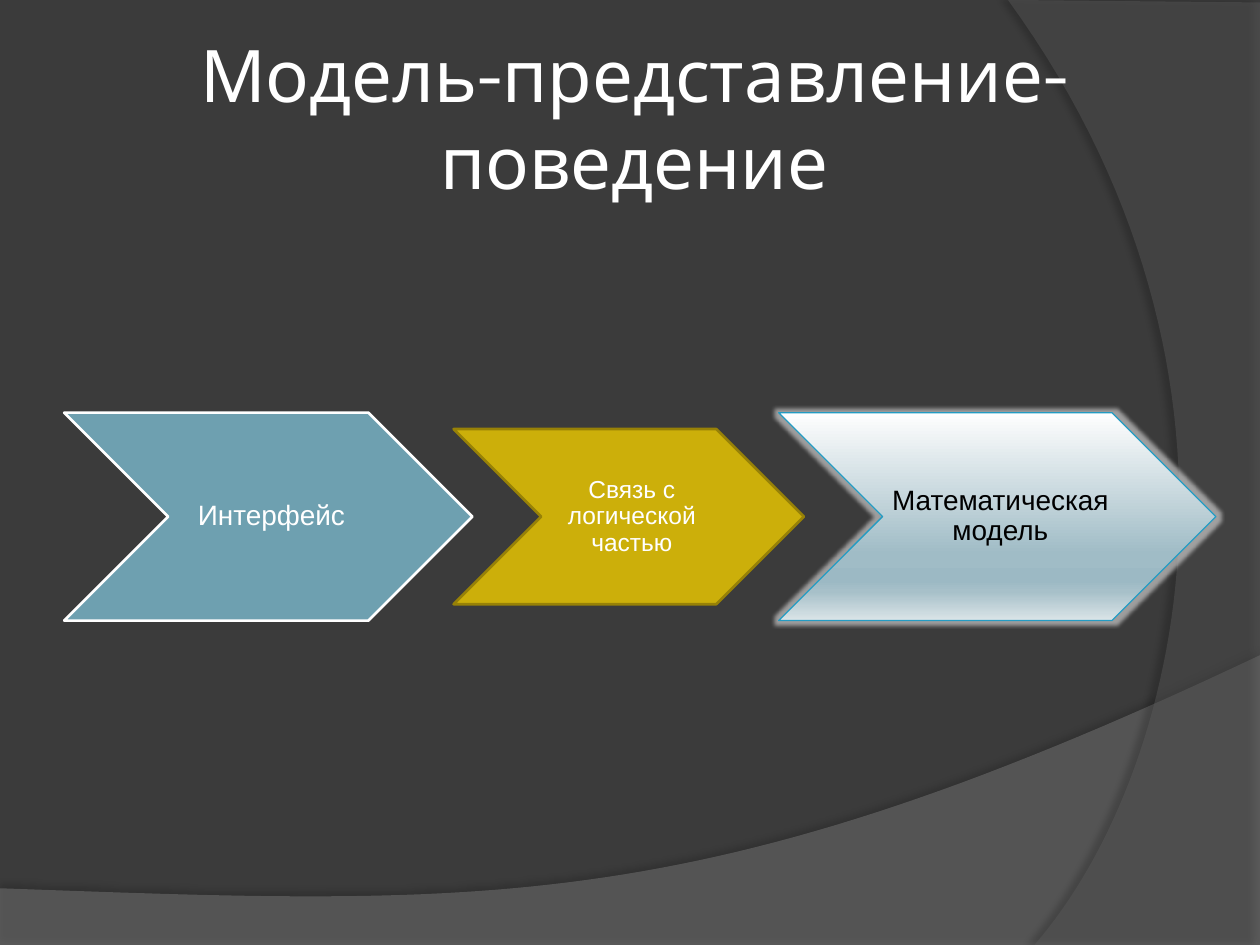
from dataclasses import dataclass

from lxml.etree import SubElement
from pptx import Presentation
from pptx.dml.color import RGBColor
from pptx.enum.shapes import MSO_SHAPE
from pptx.enum.text import MSO_ANCHOR, PP_ALIGN
from pptx.oxml.ns import qn
from pptx.util import Inches, Pt

Point = tuple[float, float]
Stop = tuple[int, str]
COLUMNS, ROWS = 100, 75
CELL = Inches(0.1)
CURVE_STEPS = 60
MIDDLE_ROW = 41


@dataclass(frozen=True)
class Theme:
    background: str = "3B3B3B"
    light: str = "FFFFFF"
    dark: str = "000000"
    hill: str = "7F7F7F"
    side: str = "5E5E5E"
    blue: str = "6EA0B0"
    gold: str = "CCAF0A"
    gold_edge: str = "978107"
    cyan_edge: str = "239BC2"
    glow: str = "E0E0E0"
    sheen: tuple[Stop, ...] = (
        (0, "FEFEFE"), (68, "A0BCC6"), (81, "9CB9C4"), (86, "A7C0C9"), (100, "DAE4E7"))
    title_font: str = "Karla"
    body_font: str = "Arial"
    title_size: float = 41.4
    large: float = 16
    small: float = 14


THEME = Theme()


@dataclass(frozen=True)
class Wave:
    curve: tuple[Point, Point, Point, Point]
    corners: tuple[Point, ...]
    color: str
    opacity: int
    shadow_opacity: int
    shadow_distance: float
    shadow_angle: int


@dataclass(frozen=True)
class Step:
    label: str
    left: float
    width: float
    height: float
    fill: str | tuple[Stop, ...]
    edge: str
    edge_width: float
    ink: str
    size: float
    glow: float = 0


WAVES = (
    Wave(((100, 52), (55.9, 72.9), (39.1, 71.9), (0, 70.5)),
         ((0, 75.1), (100, 75.1)), THEME.hill, 45, 35, 3.5, 270),
    Wave(((82.1, 75), (93.5, 61.9), (101.8, 30), (80, 0)),
         ((100, 0.2), (100, 75)), THEME.side, 40, 45, 4, 180),
)
STEPS = (
    Step("Интерфейс", 5.1, 32.4, 16.5, THEME.blue, THEME.light, 1.5,
         THEME.light, THEME.large),
    Step("Связь с логической частью", 36, 27.8, 13.9, THEME.gold, THEME.gold_edge, 1.5,
         THEME.light, THEME.small),
    Step("Математическая модель", 61.8, 34.7, 16.5, THEME.sheen, THEME.cyan_edge, 0.75,
         THEME.dark, THEME.large, glow=5),
)


def cells(count: float) -> int:
    return round(count * CELL)


def rgb(color: str) -> RGBColor:
    return RGBColor.from_string(color)


def add_color(parent, color: str, opacity: int = 100) -> None:
    node = SubElement(parent, qn("a:srgbClr"), val=color)
    if opacity < 100:
        SubElement(node, qn("a:alpha"), val=str(opacity * 1000))


def add_effect(shape, kind: str, color: str, opacity: int, **settings: str) -> None:
    effects = shape._element.spPr.find(qn("a:effectLst"))
    add_color(SubElement(effects, qn(kind), **settings), color, opacity)


def bezier(curve: tuple[Point, Point, Point, Point]) -> list[Point]:
    points = []
    for index in range(CURVE_STEPS + 1):
        t = index / CURVE_STEPS
        weights = ((1 - t) ** 3, 3 * t * (1 - t) ** 2, 3 * t * t * (1 - t), t ** 3)
        points.append(tuple(sum(weight * point[axis] for weight, point in zip(weights, curve))
                            for axis in (0, 1)))
    return points


def draw_wave(page, wave: Wave) -> None:
    outline = [(cells(x), cells(y)) for x, y in (*bezier(wave.curve), *wave.corners)]
    builder = page.shapes.build_freeform(*outline[0])
    builder.add_line_segments(outline[1:], close=True)
    shape = builder.convert_to_shape()
    shape.fill.solid()
    shape.fill.fore_color.rgb = rgb(wave.color)
    color = shape._element.spPr.find(".//" + qn("a:srgbClr"))
    SubElement(color, qn("a:alpha"), val=str(wave.opacity * 1000))
    shape.line.fill.background()
    shape.shadow.inherit = False
    add_effect(shape, "a:outerShdw", THEME.dark, wave.shadow_opacity,
               blurRad=str(Pt(4)), dist=str(Pt(wave.shadow_distance)),
               dir=str(wave.shadow_angle * 60000), algn="ctr", rotWithShape="0")


def write(shape, text: str, font: str, size: float, color: str,
          insets: tuple[float, float], spacing: float = 1) -> None:
    frame = shape.text_frame
    frame.text = text
    frame.word_wrap = True
    frame.vertical_anchor = MSO_ANCHOR.MIDDLE
    frame.margin_left, frame.margin_right = (Inches(inset) for inset in insets)
    frame.margin_top = frame.margin_bottom = Inches(0.02)
    para = frame.paragraphs[0]
    para.alignment = PP_ALIGN.CENTER
    para.line_spacing = spacing
    span = para.runs[0]
    span.font.name = font
    span.font.size = Pt(size)
    span.font.color.rgb = rgb(color)


def draw_title(page, text: str) -> None:
    box = page.shapes.add_textbox(cells(5), cells(3), cells(90.7), cells(12.5))
    write(box, text, THEME.title_font, THEME.title_size, THEME.light, (0.05, 0.05))


def fill_gradient(shape, stops: tuple[Stop, ...]) -> None:
    shape.fill.gradient()
    shape.fill.gradient_angle = 270
    stop_list = shape._element.spPr.find(".//" + qn("a:gsLst"))
    for stop in list(stop_list):
        stop_list.remove(stop)
    for position, color in stops:
        add_color(SubElement(stop_list, qn("a:gs"), pos=str(position * 1000)), color)


def draw_step(page, step: Step) -> None:
    shape = page.shapes.add_shape(
        MSO_SHAPE.CHEVRON, cells(step.left), cells(MIDDLE_ROW - step.height / 2),
        cells(step.width), cells(step.height))
    if isinstance(step.fill, str):
        shape.fill.solid()
        shape.fill.fore_color.rgb = rgb(step.fill)
    else:
        fill_gradient(shape, step.fill)
    shape.line.color.rgb = rgb(step.edge)
    shape.line.width = Pt(step.edge_width)
    shape.shadow.inherit = False
    if step.glow:
        add_effect(shape, "a:glow", THEME.glow, 60, rad=str(Pt(step.glow)))
    write(shape, step.label, THEME.body_font, step.size, step.ink, (0.05, 0), 0.9)


def main() -> None:
    deck = Presentation()
    deck.slide_width, deck.slide_height = COLUMNS * CELL, ROWS * CELL
    page = deck.slides.add_slide(deck.slide_layouts[6])
    page.background.fill.solid()
    page.background.fill.fore_color.rgb = rgb(THEME.background)
    for wave in WAVES:
        draw_wave(page, wave)
    draw_title(page, "Модель-представление-поведение")
    for step in STEPS:
        draw_step(page, step)
    deck.save("out.pptx")


if __name__ == "__main__":
    main()
